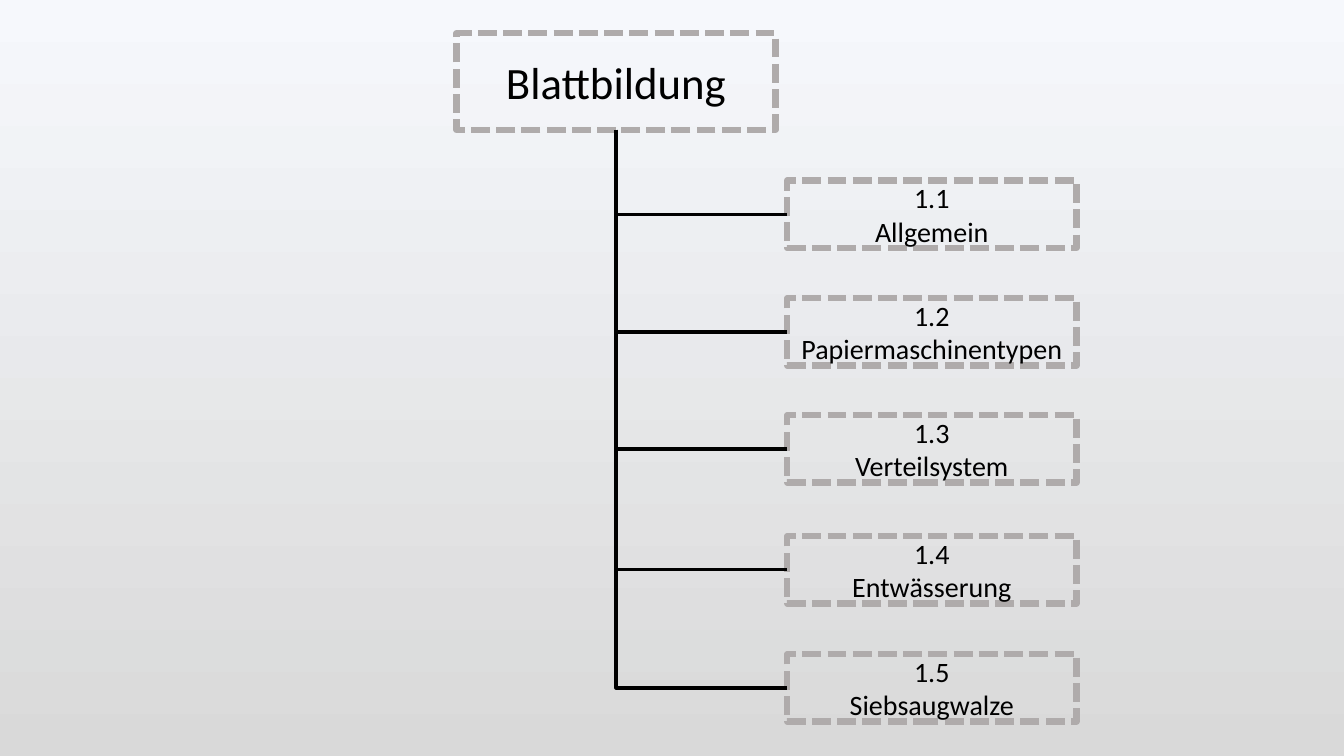
import pptx
import pptx.util
import pptx.dml.color
import pptx.enum.dml
import pptx.enum.shapes
import pptx.enum.text
import pptx.oxml

Pt = pptx.util.Pt

HUES = {"top": "F6F8FC", "base": "D9D9D9", "edge": "AFABAB", "ink": "000000"}
FONT = "Calibri"
LEFT, WIDE, HIGH = 562.3, 206.6, 48.2
ITEMS = [
    (129, "1.1\nAllgemein"),
    (213, "1.2 Papiermaschinentypen"),
    (296.6, "1.3\nVerteilsystem"),
    (383, "1.4\nEntwässerung"),
    (467.3, "1.5\nSiebsaugwalze"),
]


def rgb(name):
    return pptx.dml.color.RGBColor.from_string(HUES[name])


def paint_back(slide):
    fill = slide.background.fill
    fill.gradient()
    fill.gradient_angle = 270
    for stop, name in zip(fill.gradient_stops, ("top", "base")):
        stop.color.rgb = rgb(name)


def add_box(slide, left, top, width, height, text, size):
    box = slide.shapes.add_shape(
        pptx.enum.shapes.MSO_SHAPE.RECTANGLE, Pt(left), Pt(top), Pt(width), Pt(height)
    )
    box.shadow.inherit = False
    box.fill.background()
    box.line.color.rgb = rgb("edge")
    box.line.width = Pt(4.5)
    box.line.dash_style = pptx.enum.dml.MSO_LINE.SQUARE_DOT
    frame = box.text_frame
    frame.word_wrap = True
    frame.vertical_anchor = pptx.enum.text.MSO_ANCHOR.MIDDLE
    frame.text = text
    for para in frame.paragraphs:
        para.alignment = pptx.enum.text.PP_ALIGN.CENTER
        for run in para.runs:
            run.font.name = FONT
            run.font.size = Pt(size)
            run.font.color.rgb = rgb("ink")
    return box


def add_branch(slide, root, item):
    x, y = root.left + root.width // 2, root.top + root.height
    run, drop = item.left - x, item.top + item.height // 2 - y
    link = slide.shapes.add_connector(
        pptx.enum.shapes.MSO_CONNECTOR.ELBOW, x, y, x + run, y + drop
    )
    link.begin_connect(root, 2)
    link.end_connect(item, 1)
    link.left, link.top = x + (run - drop) // 2, y + (drop - run) // 2
    link.width, link.height = drop, run
    props = link.element.spPr
    props.xfrm.set("rot", "16200000")
    props.xfrm.set("flipH", "1")
    props.find(pptx.oxml.ns.qn("a:prstGeom")).set("prst", "bentConnector2")
    link.line.color.rgb = rgb("ink")
    link.line.width = Pt(2.25)
    props.append(pptx.oxml.parse_xml(f'<a:effectLst {pptx.oxml.ns.nsdecls("a")}/>'))


def main():
    deck = pptx.Presentation()
    deck.slide_width, deck.slide_height = Pt(960), Pt(540)
    slide = deck.slides.add_slide(deck.slide_layouts[6])
    paint_back(slide)
    root = add_box(slide, 326, 23.8, 228, 69, "Blattbildung", 32)
    for top, text in ITEMS:
        item = add_box(slide, LEFT, top, WIDE, HIGH, text, 20)
        add_branch(slide, root, item)
    deck.save("out.pptx")


if __name__ == "__main__":
    main()
